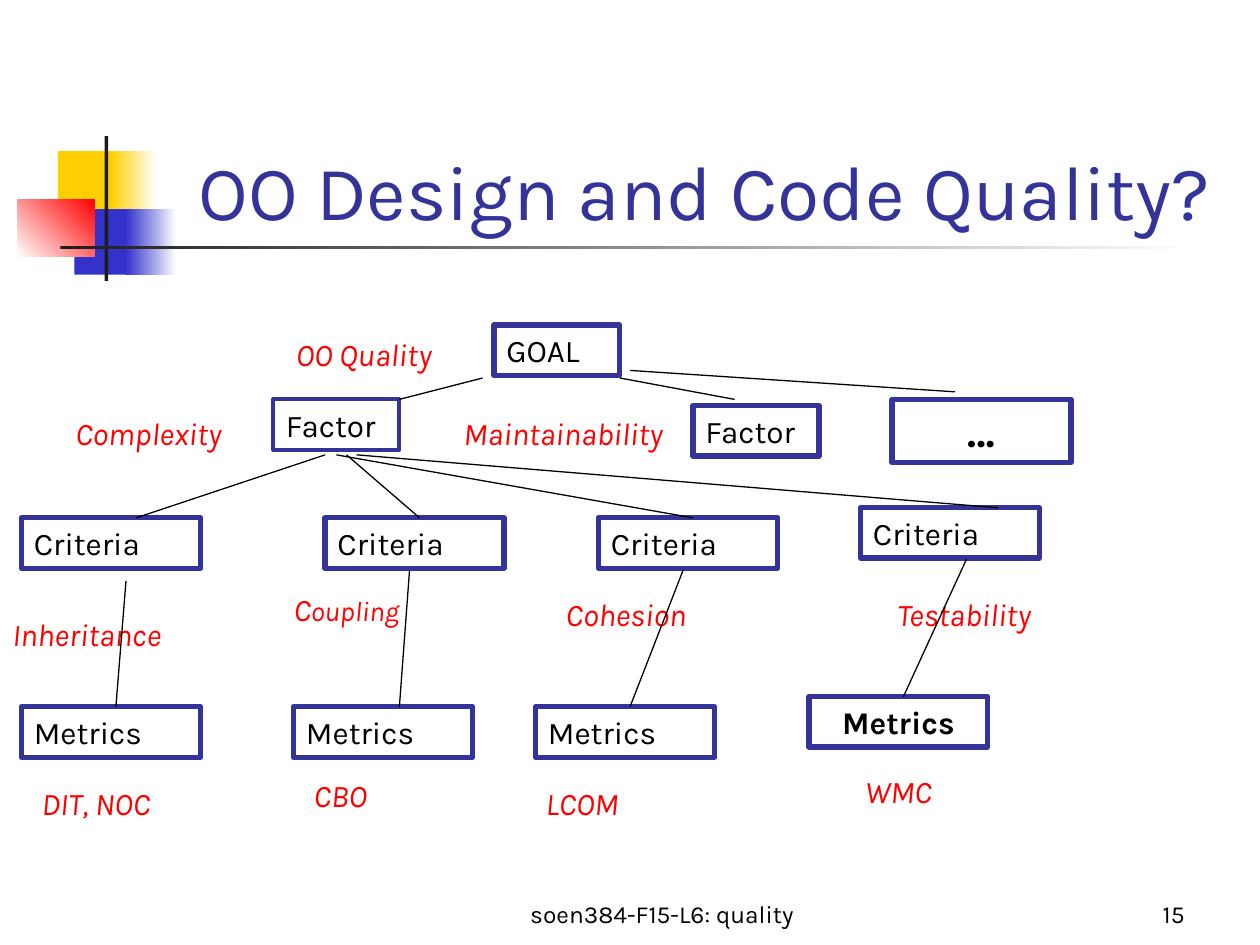
from dataclasses import dataclass

from lxml import etree
from pptx import Presentation
from pptx import util as u
from pptx.dml.color import RGBColor
from pptx.enum import shapes, text
from pptx.oxml.ns import qn

PX = 9144


@dataclass(frozen=True)
class Theme:
    font: str = "Karla"
    navy: str = "333399"
    black: str = "000000"
    white: str = "FFFFFF"
    label: str = "FF0000"
    yellow: str = "FFCF01"
    blue: str = "3333CC"
    red: str = "FF0000"
    bar: str = "1C1C1C"
    title_size: int = 44
    ellipsis_size: int = 24
    body_size: int = 18
    small_label_size: int = 16
    footer_size: int = 14
    box_line: float = 3
    thin_box_line: float = 2.25
    link_line: float = 0.75


THEME = Theme()
LEFT, CENTER, RIGHT = text.PP_ALIGN.LEFT, text.PP_ALIGN.CENTER, text.PP_ALIGN.RIGHT


def px(*lengths):
    return [u.Emu(length * PX) for length in lengths]


def rgb(value):
    return RGBColor.from_string(value)


def write(holder, words, size=THEME.body_size, color=THEME.black, align=LEFT,
          anchor=text.MSO_ANCHOR.TOP, bold=False, italic=False, indent=0):
    frame = holder.text_frame
    frame.word_wrap = True
    frame.vertical_anchor = anchor
    frame.margin_left, frame.margin_right = px(10 + indent, 10)
    frame.margin_top, frame.margin_bottom = px(5, 5)
    line = frame.paragraphs[0]
    line.text = words
    line.alignment = align
    for run in line.runs:
        run.font.name = THEME.font
        run.font.size = u.Pt(size)
        run.font.color.rgb = rgb(color)
        run.font.bold = bold
        run.font.italic = italic
    return line


def caption(slide, box, words, **style):
    return write(slide.shapes.add_textbox(*px(*box)), words, **style)


def label(slide, box, words, **style):
    return caption(slide, box, words, color=THEME.label, italic=True, **style)


def node(slide, box, words, line_width=THEME.box_line, **style):
    frame = slide.shapes.add_shape(shapes.MSO_SHAPE.RECTANGLE, *px(*box))
    frame.shadow.inherit = False
    frame.fill.background()
    frame.line.color.rgb = rgb(THEME.navy)
    frame.line.width = u.Pt(line_width)
    write(frame, words, **style)


def link(slide, start, end):
    branch = slide.shapes.add_connector(shapes.MSO_CONNECTOR.STRAIGHT, *px(*start, *end))
    branch.line.color.rgb = rgb(THEME.black)
    branch.line.width = u.Pt(THEME.link_line)
    etree.SubElement(branch._element.spPr, qn("a:effectLst"))


def emblem(slide, box):
    left, top, width, height = box
    blocks = [
        ((32, 12, 48, 52), (THEME.yellow,), 0),
        ((74, 12, 36, 52), (THEME.yellow, THEME.white), 0),
        ((45, 58, 46, 52), (THEME.blue,), 0),
        ((86, 58, 40, 52), (THEME.blue, THEME.white), 0),
        ((0, 50, 61, 46), (THEME.white, THEME.red), 45),
        ((69, 0, 3, height), (THEME.bar,), 0),
        ((34, 87, width - 34, 3), (THEME.bar, THEME.white), 0),
    ]
    for (x, y, w, h), colors, angle in blocks:
        block = slide.shapes.add_shape(
            shapes.MSO_SHAPE.RECTANGLE, *px(left + x, top + y, w, h))
        block.shadow.inherit = False
        block.line.fill.background()
        if len(colors) == 1:
            block.fill.solid()
            block.fill.fore_color.rgb = rgb(colors[0])
        else:
            block.fill.gradient()
            block.fill.gradient_angle = angle
            for stop, color in zip(block.fill.gradient_stops, colors):
                stop.color.rgb = rgb(color)


def heading(slide, box):
    caption(slide, box, "OO Design and Code Quality?", size=THEME.title_size,
            color=THEME.navy, align=CENTER, anchor=text.MSO_ANCHOR.BOTTOM, indent=15)


def footer(slide, box):
    left, top, width, height = box
    for x, w, words, align in [(0, 317, "soen384-F15-L6: quality", CENTER),
                               (width - 208, 208, "15", RIGHT)]:
        caption(slide, (left + x, top, w, height), words, size=THEME.footer_size,
                align=align, anchor=text.MSO_ANCHOR.BOTTOM)


def goal_and_factors(slide, box):
    left, top, width, height = box

    def at(x, y, *size):
        return (left + x, top + y, *size)

    node(slide, at(342, 0, 100, 40), "GOAL")
    node(slide, at(167, 59, 100, 40), "Factor", line_width=THEME.thin_box_line)
    node(slide, at(500, 64, 100, 40), "Factor")
    node(slide, at(width - 142, height - 50, 142, 50), "…",
         size=THEME.ellipsis_size, align=CENTER, bold=True)
    label(slide, at(175, 3, 150, 40), "OO Quality")
    label(slide, at(0, 66, 150, 40), "Complexity")
    label(slide, at(308, 66, 208, 40), "Maintainability")
    link(slide, at(333, 42), at(267, 59))
    link(slide, at(442, 42), at(533, 59))
    link(slide, at(450, 36), at(708, 53))


def criterion_branch(slide, box, factor_end, entry, criterion, metric, measure, descent):
    left, top, width, height = box

    def at(x, y, *size):
        return (left + x, top + y, *size)

    node(slide, at(0, 0, width, 40), "Criteria")
    metric_x, metric_style = metric
    node(slide, at(metric_x, height - 40, width, 40), "Metrics", **metric_style)
    for (x, y, w), words, style in (criterion, measure):
        written = label(slide, at(x, y, w, 40), words, **style)
        if words == "Coupling":
            written.runs[0].text = words[0]
            rest = written.add_run()
            rest.text = words[1:]
            rest.font.name = THEME.font
            rest.font.size = u.Pt(THEME.small_label_size)
            rest.font.color.rgb = rgb(THEME.label)
            rest.font.italic = True
    link(slide, factor_end, at(entry, 0))
    start, end = descent
    link(slide, at(*start), at(end, height - 40))


def main():
    deck = Presentation()
    deck.slide_width, deck.slide_height = px(1000, 750)
    slide = deck.slides.add_slide(deck.slide_layouts[6])

    emblem(slide, (14, 108, 934, 115))
    footer(slide, (367, 692, 583, 50))
    heading(slide, (126, 67, 852, 125))
    goal_and_factors(slide, (50, 258, 800, 109))

    spaced = {"indent": 6}
    centered = {"align": CENTER}
    branches = [
        ((17, 411), (258, 361), 91, ((-17, 72, 167), "Inheritance", {}), (0, {}),
         ((0, 206, 150), "DIT, NOC", spaced), ((83, 50), 75)),
        ((258, 411), (275, 361), 75, ((-41, 52, 142), "Coupling", spaced), (-25, {}),
         ((-25, 200, 142), "CBO", spaced), ((67, 42), 59)),
        ((475, 411), (267, 361), 75, ((-42, 56, 208), "Cohesion", spaced), (-50, {}),
         ((-58, 206, 142), "LCOM", spaced), ((67, 42), 25)),
        ((683, 403), (283, 361), 109,
         ((-25, 64, 208), "Testability", {**centered, **spaced}),
         (-41, {**centered, "bold": True}),
         ((-66, 205, 192), "WMC", centered), ((84, 41), 34)),
    ]
    for corner, *parts in branches:
        criterion_branch(slide, (*corner, 142, 190), *parts)

    deck.save("out.pptx")


if __name__ == "__main__":
    main()
